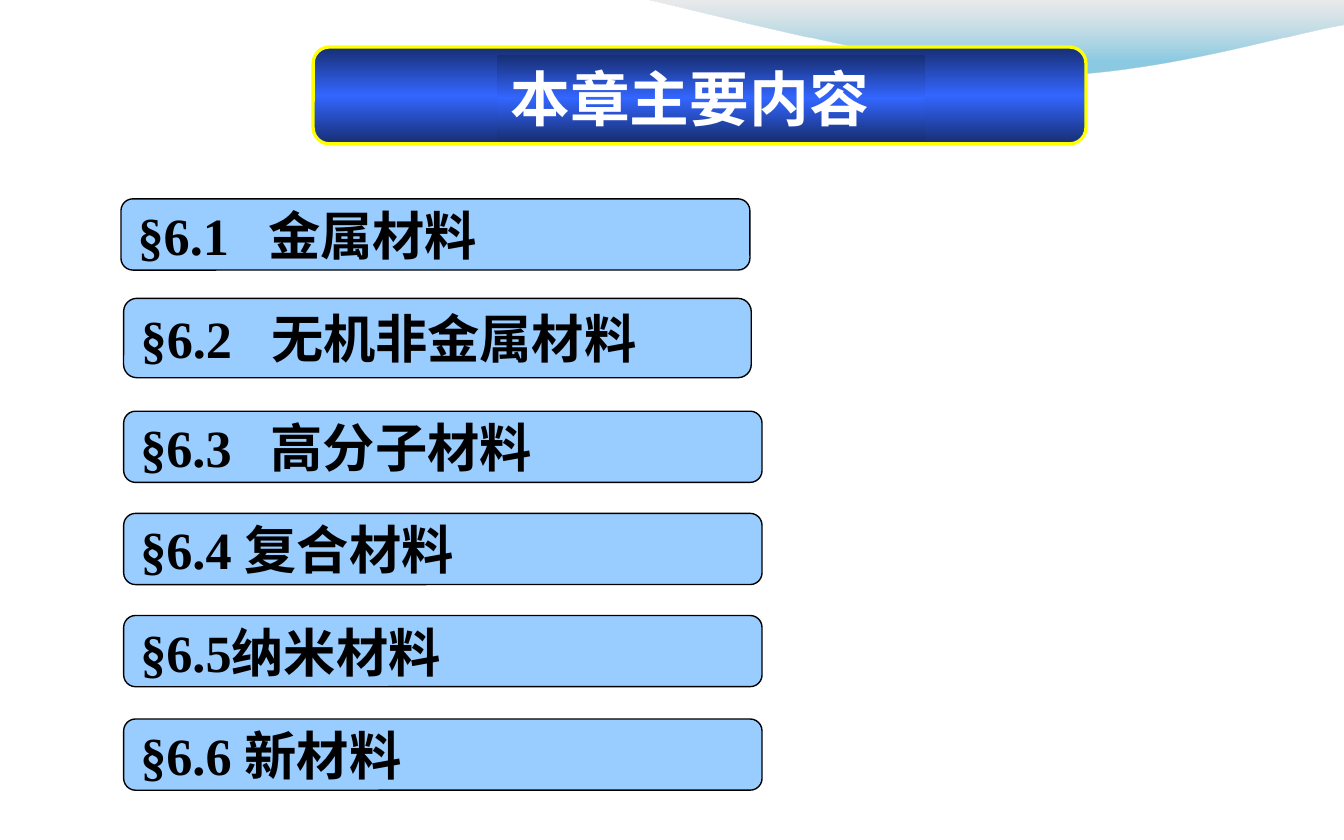
"""Build the chapter contents slide: a gradient title bar above six section bars."""
from lxml import etree
from pptx import Presentation
from pptx.dml.color import RGBColor
from pptx.enum.shapes import MSO_SHAPE
from pptx.enum.text import MSO_ANCHOR, PP_ALIGN
from pptx.oxml.ns import qn
from pptx.util import Inches, Pt

ROUND, RECT = MSO_SHAPE.ROUNDED_RECTANGLE, MSO_SHAPE.RECTANGLE
TOP, MIDDLE, LEFT = MSO_ANCHOR.TOP, MSO_ANCHOR.MIDDLE, PP_ALIGN.LEFT
COLORS = {"bar": "99CCFF", "ink": "000000", "title": "FFFFFF", "frame": "FFFF00",
          "navy": "172E72", "blue": "3366FF", "grey": "BDBDBD", "teal": "008BBF"}
TITLE_STOPS = [(0, "navy", 100), (50, "blue", 100), (100, "navy", 100)]
WAVE_STOPS = [(0, "grey", 30), (80, "teal", 45)]


def fill_gradient(s, stops):
    s.fill.gradient()
    s.fill.gradient_angle = 270
    gs_list = s.fill._fill._gradFill.find(qn("a:gsLst"))
    for gs in list(gs_list):
        gs_list.remove(gs)
    for position, color, opacity in stops:
        gs = etree.SubElement(gs_list, qn("a:gs"), pos=str(position * 1000))
        clr = etree.SubElement(gs, qn("a:srgbClr"), val=COLORS[color])
        if opacity < 100:
            etree.SubElement(clr, qn("a:alpha"), val=str(opacity * 1000))


def write(s, text, anchor, color, font, tab=None):
    tf = s.text_frame
    tf.word_wrap = True
    tf.vertical_anchor = anchor
    p = tf.paragraphs[0]
    p.alignment = LEFT
    if tab:
        tabs = etree.SubElement(p._p.get_or_add_pPr(), qn("a:tabLst"))
        etree.SubElement(tabs, qn("a:tab"), pos=str(tab), algn="l")
    r = p.add_run()
    r.text = text
    for name, value in font.items():
        setattr(r.font, name, value)
    r.font.color.rgb = RGBColor.from_string(COLORS[color])


prs = Presentation()
prs.slide_width, prs.slide_height = Inches(10), Inches(6.25)
W, H = prs.slide_width, prs.slide_height
slide = prs.slides.add_slide(prs.slide_layouts[6])

curves = [[(0.48, 0), (0.51, 0.01), (0.68, 0.08), (0.77, 0.09)],
          [(0.77, 0.09), (0.86, 0.09), (0.96, 0.04), (1, 0.03)]]
points = []
for a, b, c, d in curves:
    for t in [i / 24 for i in range(25)]:
        weights = (1 - t) ** 3, 3 * t * (1 - t) ** 2, 3 * t * t * (1 - t), t ** 3
        x, y = [sum(w * v for w, v in zip(weights, axis)) for axis in zip(a, b, c, d)]
        points.append((int(x * W), int(y * H)))
points.append((W, 0))
builder = slide.shapes.build_freeform(*points[0])
builder.add_line_segments(points[1:], close=True)
wave = builder.convert_to_shape()
wave.shadow.inherit = False
wave.line.fill.background()
fill_gradient(wave, WAVE_STOPS)

section_font = {"name": "Times New Roman", "size": Pt(28), "bold": True}
sections = [("§6.1\t金属材料", 1.48, 0.9, 4.68, 0.53),
            ("§6.2\t无机非金属材料", 2.22, 0.92, 4.67, 0.59),
            ("§6.3\t高分子材料", 3.06, 0.92, 4.75, 0.53),
            ("§6.4 复合材料", 3.82, 0.92, 4.75, 0.53),
            ("§6.5纳米材料", 4.58, 0.92, 4.75, 0.53),
            ("§6.6 新材料", 5.35, 0.92, 4.75, 0.53)]
for text, top, left, width, height in sections:
    s = slide.shapes.add_shape(ROUND, *map(Inches, (left, top, width, height)))
    s.shadow.inherit = False
    s.fill.solid()
    s.fill.fore_color.rgb = RGBColor.from_string(COLORS["bar"])
    s.line.color.rgb = RGBColor.from_string(COLORS["ink"])
    s.line.width = Pt(0.75)
    write(s, text, MIDDLE, "ink", section_font, Inches(0.97) if "\t" in text else None)

header = slide.shapes.add_group_shape()
frame = header.shapes.add_shape(ROUND, *map(Inches, (2.33, 0.35, 5.75, 0.72)))
title = header.shapes.add_shape(RECT, *map(Inches, (3.7, 0.41, 3.18, 0.64)))
for s in (frame, title):
    s.shadow.inherit = False
    fill_gradient(s, TITLE_STOPS)
frame.line.color.rgb = RGBColor.from_string(COLORS["frame"])
frame.line.width = Pt(1.75)
title.line.fill.background()
write(title, "本章主要内容", TOP, "title", {"name": "Arial", "size": Pt(32), "bold": True})

prs.save("out.pptx")
